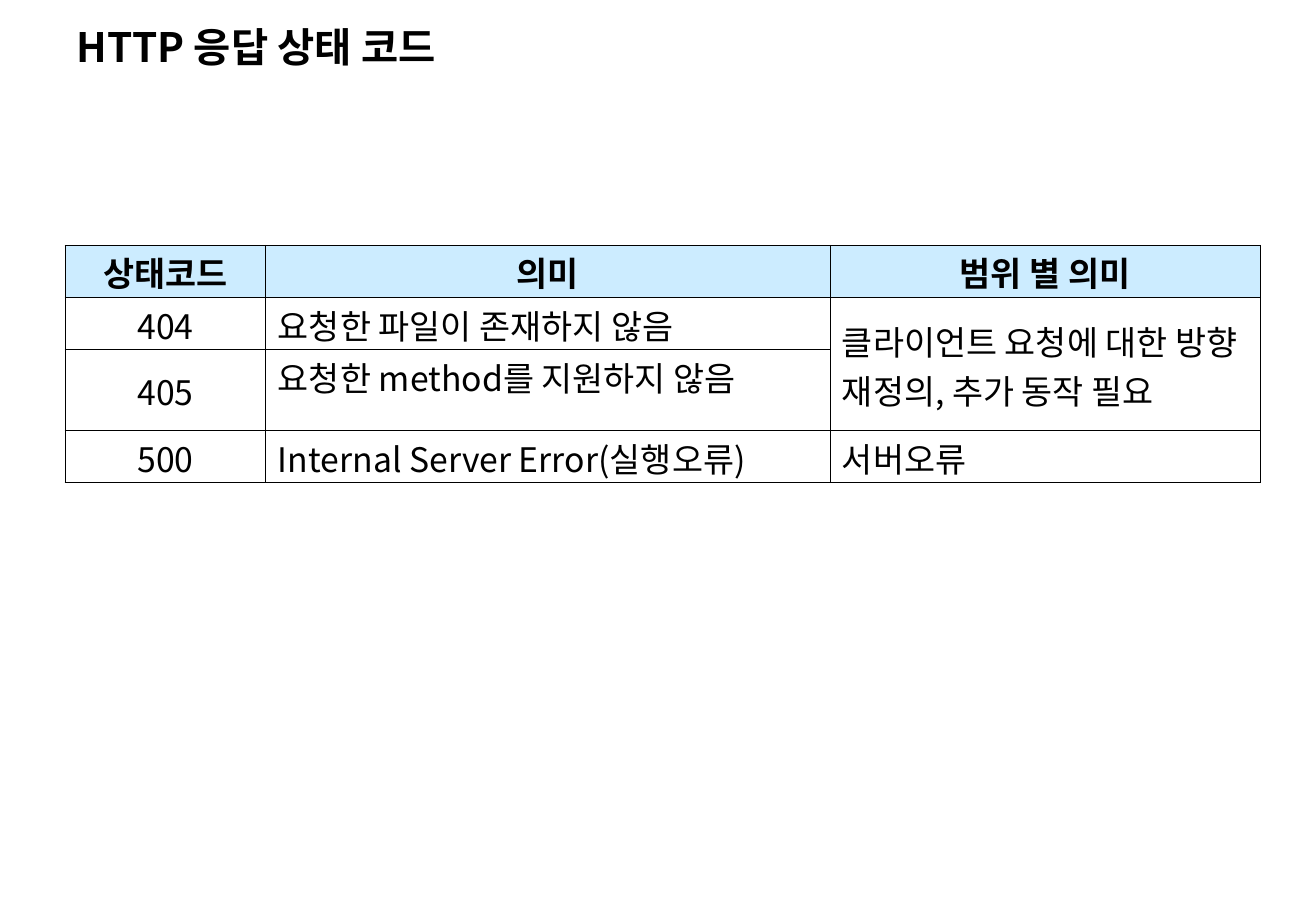
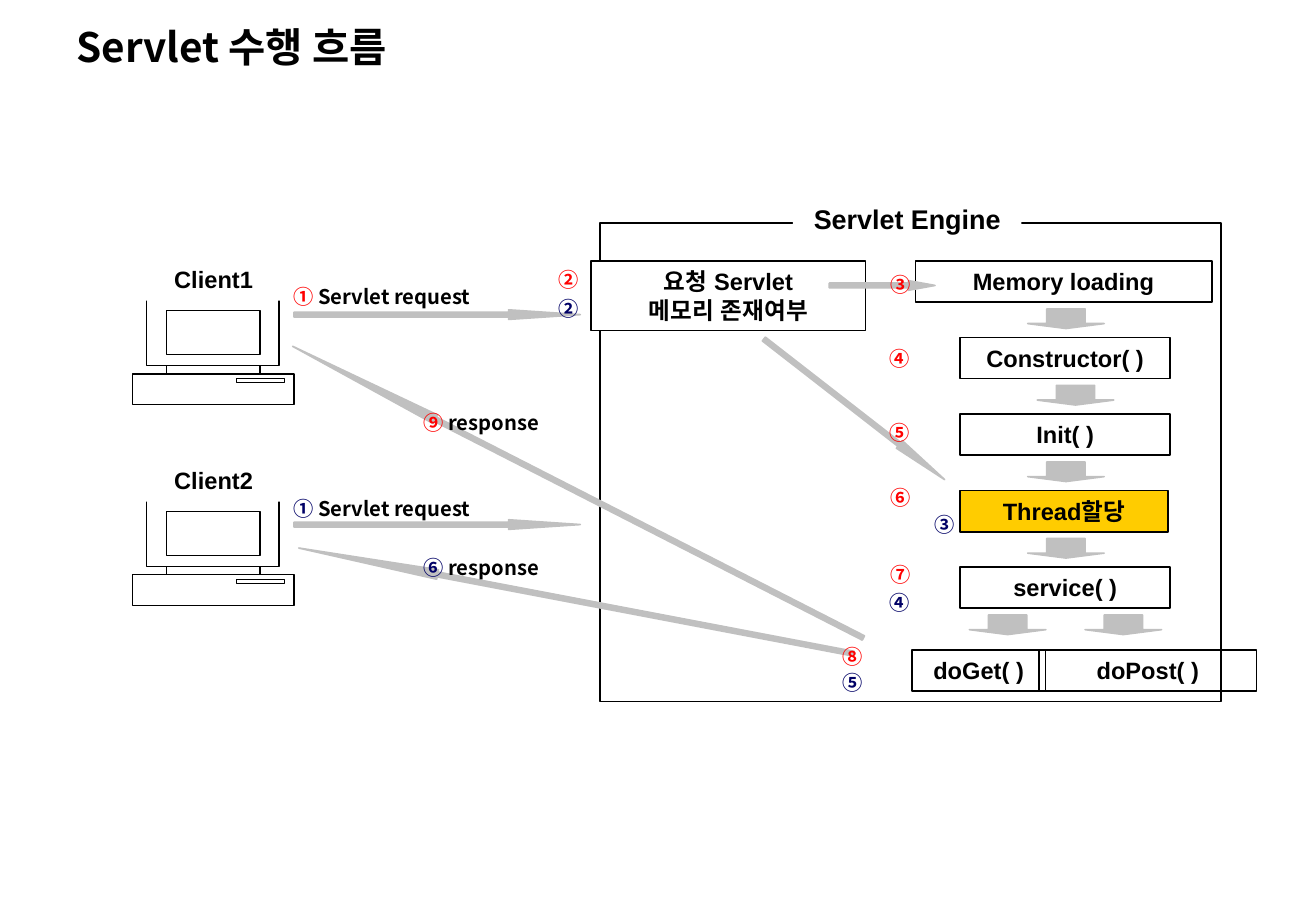
import math

from lxml import etree
from pptx import Presentation
from pptx import util as u
from pptx.dml import color
from pptx.enum import shapes, text
from pptx.oxml import ns

COLOURS = {
    "black": "000000",
    "white": "FFFFFF",
    "header": "CCECFF",
    "highlight": "FFCC00",
    "arrow": "C0C0C0",
    "first": "FF0000",
    "second": "000066",
}
KOREAN = "Noto Sans CJK KR"
LATIN = "Arial"
TITLE_ONLY = 5
ARROW_THICKNESS = 0.2


def rgb(name):
    return color.RGBColor.from_string(COLOURS[name])


def format_run(run, font_name, size, colour="black", bold=True):
    run.font.name = font_name
    run.font.size = u.Pt(size)
    run.font.bold = bold
    run.font.color.rgb = rgb(colour)
    east_asian = etree.SubElement(run.font._element, ns.qn("a:ea"))
    east_asian.set("typeface", font_name)


def paint(shape, fill=None, line=None, width=1):
    shape.shadow.inherit = False
    if fill:
        shape.fill.solid()
        shape.fill.fore_color.rgb = rgb(fill)
    else:
        shape.fill.background()
    if line:
        shape.line.color.rgb = rgb(line)
        shape.line.width = u.Pt(width)
    else:
        shape.line.fill.background()


def add_titled_slide(presentation, title):
    slide = presentation.slides.add_slide(presentation.slide_layouts[TITLE_ONLY])
    shape = slide.shapes.title
    shape.left, shape.top = u.Cm(1.6), u.Cm(0.4)
    shape.width, shape.height = u.Cm(16.8), u.Cm(1.15)
    frame = shape.text_frame
    frame.text = title
    frame.auto_size = text.MSO_AUTO_SIZE.NONE
    frame.vertical_anchor = text.MSO_ANCHOR.MIDDLE
    frame.margin_left = frame.margin_right = 0
    paragraph = frame.paragraphs[0]
    paragraph.alignment = text.PP_ALIGN.LEFT
    format_run(paragraph.runs[0], KOREAN, 24)
    return slide


def add_cell_borders(cell):
    properties = cell._tc.get_or_add_tcPr()
    for position, side in enumerate(("a:lnL", "a:lnR", "a:lnT", "a:lnB")):
        line = etree.Element(ns.qn(side), w=str(u.Pt(0.45)))
        fill = etree.SubElement(line, ns.qn("a:solidFill"))
        etree.SubElement(fill, ns.qn("a:srgbClr"), val=COLOURS["black"])
        properties.insert(position, line)


def fill_cell(cell, words, is_header, centred, anchor):
    cell.text = words
    cell.vertical_anchor = anchor
    cell.margin_top, cell.margin_bottom = u.Cm(0.05), 0
    if is_header:
        cell.fill.solid()
        cell.fill.fore_color.rgb = rgb("header")
    else:
        cell.fill.background()
    for paragraph in cell.text_frame.paragraphs:
        paragraph.alignment = text.PP_ALIGN.CENTER if centred else text.PP_ALIGN.LEFT
        for run in paragraph.runs:
            format_run(run, KOREAN, 20, bold=is_header)
    add_cell_borders(cell)


def add_status_table(slide, left, top):
    rows = [
        ("상태코드", "의미", "범위 별 의미"),
        ("404", "요청한 파일이 존재하지 않음", "클라이언트 요청에 대한 방향 재정의, 추가 동작 필요"),
        ("405", "요청한 method를 지원하지 않음", ""),
        ("500", "Internal Server Error(실행오류)", "서버오류"),
    ]
    widths = (4.2, 11.8, 9.0)
    heights = (1.09, 1.09, 1.69, 1.09)
    frame = slide.shapes.add_table(
        len(rows), len(widths), u.Cm(left), u.Cm(top), u.Cm(sum(widths)), u.Cm(sum(heights))
    )
    table = frame.table
    table.horz_banding = False
    for column, width in zip(table.columns, widths):
        column.width = u.Cm(width)
    for row, height in zip(table.rows, heights):
        row.height = u.Cm(height)
    for row_index, row in enumerate(rows):
        for column_index, words in enumerate(row):
            is_header = row_index == 0
            middle = not is_header and (column_index == 0 or (row_index, column_index) == (1, 2))
            anchor = text.MSO_ANCHOR.MIDDLE if middle else text.MSO_ANCHOR.TOP
            centred = is_header or column_index == 0
            fill_cell(table.cell(row_index, column_index), words, is_header, centred, anchor)
    table.cell(1, 2).merge(table.cell(2, 2))


def add_box(slide, left, top, width, height, words, fill=None, line="black", size=14):
    shape = slide.shapes.add_shape(
        shapes.MSO_SHAPE.RECTANGLE, u.Cm(left), u.Cm(top), u.Cm(width), u.Cm(height)
    )
    paint(shape, fill, line)
    frame = shape.text_frame
    frame.text = words
    frame.word_wrap = True
    frame.vertical_anchor = text.MSO_ANCHOR.TOP
    for paragraph in frame.paragraphs:
        paragraph.alignment = text.PP_ALIGN.CENTER
        for run in paragraph.runs:
            format_run(run, LATIN, size)


def add_down_arrow(slide, centre, top):
    width, height = 1.6, 0.41
    shape = slide.shapes.add_shape(
        shapes.MSO_SHAPE.DOWN_ARROW, u.Cm(centre - width / 2), u.Cm(top), u.Cm(width), u.Cm(height)
    )
    shape.adjustments[0], shape.adjustments[1] = 0.5, 0.25
    paint(shape, "arrow", "arrow")


def add_flow_arrow(slide, tail, tip):
    length = math.dist(tail, tip)
    centre_x, centre_y = ((a + b) / 2 for a, b in zip(tail, tip))
    shape = slide.shapes.add_shape(
        shapes.MSO_SHAPE.RIGHT_ARROW,
        u.Cm(centre_x - length / 2),
        u.Cm(centre_y - ARROW_THICKNESS / 2),
        u.Cm(length),
        u.Cm(ARROW_THICKNESS),
    )
    shape.adjustments[0] = 0.5
    shape.adjustments[1] = length / 4 / ARROW_THICKNESS
    shape.rotation = math.degrees(math.atan2(tip[1] - tail[1], tip[0] - tail[0])) % 360
    paint(shape, "arrow", "arrow")


def add_step_label(slide, left, top, number, colour, words=""):
    width = 6.1 if words else 1.2
    box = slide.shapes.add_textbox(u.Cm(left), u.Cm(top), u.Cm(width), u.Cm(0.76))
    frame = box.text_frame
    frame.word_wrap = True
    paragraph = frame.paragraphs[0]
    paragraph.text = f"{number} {words}" if not words else f"{number} "
    if not words:
        paragraph.text = number
    format_run(paragraph.runs[0], KOREAN, 12, colour)
    if words:
        run = paragraph.add_run()
        run.text = words
        format_run(run, KOREAN, 12)


def add_client(slide, left, top, name):
    monitor, neck, base = (30, 0, 307, 137), (71, 137, 267, 155), (0, 155, 338, 219)
    screen, drive = (71, 23, 267, 114), (218, 165, 318, 173)
    builder = slide.shapes.build_freeform(monitor[0], monitor[1], scale=u.Cm(0.01))
    for x1, y1, x2, y2 in (monitor, neck, base, screen, drive):
        builder.move_to(x1, y1)
        builder.add_line_segments([(x2, y1), (x2, y2), (x1, y2)], close=True)
    computer = builder.convert_to_shape(u.Cm(left), u.Cm(top))
    paint(computer, line="black", width=0.75)
    add_box(slide, left - 0.33, top - 0.86, 4.06, 0.88, name, "white", None)


def add_engine(slide, left, top, width, height):
    add_box(slide, left, top, width, height, "")
    pitch, box_height = 1.6, 0.86
    steps = [
        (6.6, 6.2, "Memory loading", None),
        (7.54, 4.39, "Constructor( )", None),
        (7.54, 4.39, "Init( )", None),
        (7.54, 4.34, "Thread할당", "highlight"),
        (7.54, 4.39, "service( )", None),
    ]
    for index, (x, step_width, words, fill) in enumerate(steps):
        y = top + 0.79 + index * pitch
        add_box(slide, left + x, y, step_width, box_height, words, fill)
    for x, method_width, words in ((6.53, 2.79, "doGet( )"), (9.19, 4.55, "doPost( )")):
        add_box(slide, left + x, top + 8.92, method_width, box_height, words)
    add_box(slide, left + 4.04, top - 0.56, 4.78, 0.94, "Servlet Engine", "white", None, 16)
    add_box(slide, left - 0.18, top + 0.79, 5.74, 1.45, "요청 Servlet\n메모리 존재여부", "white")
    for index, centres in enumerate([(9.75,), (9.95,), (9.75,), (9.75,), (8.53, 10.95)]):
        for centre in centres:
            add_down_arrow(slide, left + centre, top + 1.79 + index * pitch)


def add_flow(slide, left, top):
    arrows = [
        ((6.15, 6.58), (12.14, 6.58)),
        ((17.35, 5.97), (19.56, 5.97)),
        ((18.06, 13.34), (6.12, 7.24)),
        ((6.15, 10.97), (12.14, 10.97)),
        ((17.86, 13.67), (6.25, 11.46)),
        ((15.98, 7.09), (19.76, 10.03)),
    ]
    labels = [
        (5.89, 5.82, "①", "first", "Servlet request"),
        (11.43, 5.46, "②", "first"),
        (18.39, 5.56, "③", "first"),
        (18.36, 7.11, "④", "first"),
        (18.36, 8.66, "⑤", "first"),
        (18.39, 10.03, "⑥", "first"),
        (18.39, 11.63, "⑦", "first"),
        (17.37, 13.34, "⑧", "first"),
        (8.61, 8.46, "⑨", "first", "response"),
        (5.89, 10.26, "①", "second", "Servlet request"),
        (11.43, 6.07, "②", "second"),
        (19.3, 10.59, "③", "second"),
        (18.36, 12.22, "④", "second"),
        (17.37, 13.89, "⑤", "second"),
        (8.61, 11.48, "⑥", "second", "response"),
    ]
    for tail, tip in arrows:
        add_flow_arrow(slide, (left + tail[0], top + tail[1]), (left + tip[0], top + tip[1]))
    for x, y, *details in labels:
        add_step_label(slide, left + x, top + y, *details)


def main():
    presentation = Presentation()
    presentation.slide_width, presentation.slide_height = u.Cm(27.53), u.Cm(19.05)

    status_slide = add_titled_slide(presentation, "HTTP 응답 상태 코드")
    add_status_table(status_slide, 1.36, 5.13)

    flow_slide = add_titled_slide(presentation, "Servlet 수행 흐름")
    add_engine(flow_slide, 12.55, 4.67, 13, 10)
    for name, top in (("Client1", 6.27), ("Client2", 10.47)):
        add_client(flow_slide, 2.77, top, name)
    add_flow(flow_slide, 0, 0)

    presentation.save("out.pptx")


if __name__ == "__main__":
    main()
